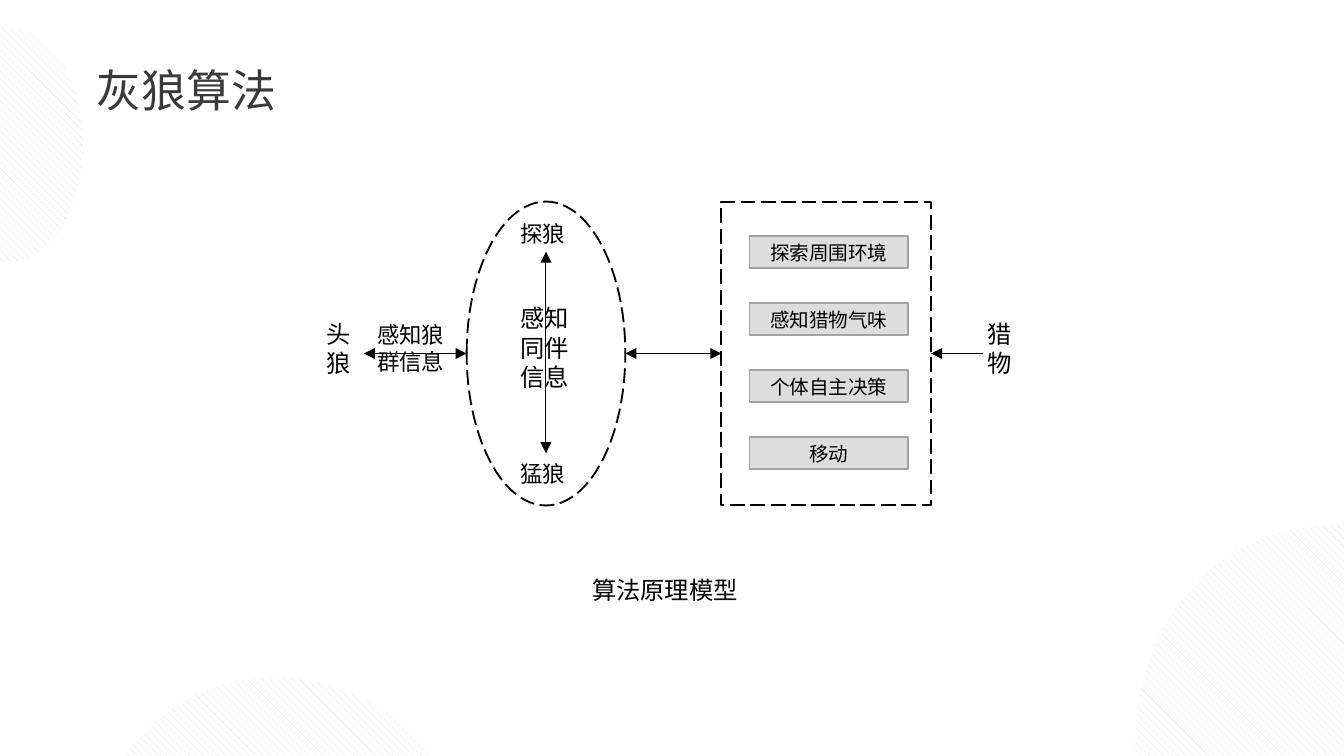
from dataclasses import dataclass

from lxml.etree import SubElement
from pptx import Presentation
from pptx.dml.color import RGBColor as RGB
from pptx.enum.dml import MSO_LINE as Dash, MSO_PATTERN as Pat
from pptx.enum.shapes import MSO_CONNECTOR as Link, MSO_SHAPE as Form
from pptx.enum.text import MSO_ANCHOR as Anchor, MSO_AUTO_SIZE as Fit, PP_ALIGN as Align
from pptx.oxml.ns import qn
from pptx.util import Pt


@dataclass(frozen=True)
class Theme:
    ink: RGB = RGB(0, 0, 0)
    head: RGB = RGB(0x3A, 0x3A, 0x3A)
    gray: RGB = RGB(0xDD, 0xDD, 0xDD)
    edge: RGB = RGB(0xA3, 0xA3, 0xA3)
    white: RGB = RGB(255, 255, 255)
    face: str = "Arial"
    title: str = "Noto Sans CJK SC"
    big: float = 24
    mid: float = 13
    note: float = 12
    small: float = 10.5


def put(item, vals):
    for name, val in vals.items():
        setattr(item, name, val)


class Board:
    def __init__(self, slide, theme):
        self.slide, self.theme = slide, theme
        self.shapes = slide.shapes

    def type_in(self, frame, lines, size, align=Align.LEFT, face=None, color=None):
        """Fill a text frame with one paragraph per line."""
        frame.text = "\n".join(lines)
        for para in frame.paragraphs:
            para.alignment = align
            put(para.font, {"name": face or self.theme.face, "size": Pt(size), "bold": False})
            para.font.color.rgb = color or self.theme.ink

    def title(self, text, *area):
        item = self.shapes.title
        put(item, dict(zip(("left", "top", "width", "height"), map(Pt, area))))
        put(item.text_frame, {"word_wrap": True, "auto_size": Fit.NONE,
                              "vertical_anchor": Anchor.TOP})
        self.type_in(item.text_frame, [text], self.theme.big,
                     face=self.theme.title, color=self.theme.head)

    def shape(self, form, *area):
        item = self.shapes.add_shape(form, *map(Pt, area))
        item.shadow.inherit = False
        return item

    def hatch(self, *area, turn=0):
        item = self.shape(Form.OVAL, *area)
        item.fill.patterned()
        item.fill.pattern = Pat.WIDE_DOWNWARD_DIAGONAL
        item.fill.fore_color.rgb = self.theme.gray
        item.fill.back_color.rgb = self.theme.white
        item.line.fill.background()
        item.rotation = turn

    def frame(self, form, *area):
        """Draw an unfilled shape with a dashed outline."""
        item = self.shape(form, *area)
        item.fill.background()
        put(item.line, {"width": Pt(1), "dash_style": Dash.LONG_DASH})
        item.line.color.rgb = self.theme.ink
        return item

    def step(self, text, *area):
        item = self.shape(Form.RECTANGLE, *area)
        item.fill.solid()
        item.fill.fore_color.rgb = self.theme.gray
        item.line.color.rgb = self.theme.edge
        item.line.width = Pt(1)
        put(item.text_frame, {"word_wrap": True, "vertical_anchor": Anchor.MIDDLE,
                              "margin_top": 0, "margin_bottom": 0})
        self.type_in(item.text_frame, [text], self.theme.small, Align.CENTER)

    def label(self, lines, size, *area):
        frame = self.shapes.add_textbox(*map(Pt, area)).text_frame
        put(frame, {"word_wrap": False, "auto_size": Fit.SHAPE_TO_FIT_TEXT})
        self.type_in(frame, lines, size)

    def arrow(self, *ends, tips=("headEnd", "tailEnd")):
        item = self.shapes.add_connector(Link.STRAIGHT, *map(Pt, ends))
        item.line.width = Pt(0.5)
        item.line.color.rgb = self.theme.ink
        props = item._element.spPr
        for tip in tips:
            SubElement(props.find(qn("a:ln")), qn("a:" + tip), type="triangle")
        SubElement(props, qn("a:effectLst"))
        return item


def main():
    deck = Presentation()
    put(deck, {"slide_width": Pt(720), "slide_height": Pt(405)})
    theme = Theme()
    board = Board(deck.slides.add_slide(deck.slide_layouts[5]), theme)

    board.hatch(26.6, 379.4, 257, 221.8, turn=75)
    board.hatch(591.8, 298, 257, 221.8, turn=75)
    board.hatch(-34, 15, 78.5, 125.3)
    board.title("灰狼算法", 44.6, 30.2, 168, 36)

    top, high = 108, 162.8
    mid = top + high / 2
    pack, wide = 250, 85
    axis = pack + wide / 2
    board.frame(Form.OVAL, pack, top, wide, high)
    box = board.frame(Form.RECTANGLE, 386.5, top, 112.3, high)
    steps = ["探索周围环境", "感知猎物气味", "个体自主决策", "移动"]
    for row, text in enumerate(steps):
        board.step(text, 401.5, 126.5 + 35.9 * row, 85, 17.2)

    board.arrow(pack, mid, 195, mid)
    board.arrow(pack + wide, mid, 386.5, mid).end_connect(box, 1)
    board.arrow(axis, 134.8, axis, 242.8)
    board.arrow(526.8, mid, 498.8, mid, tips=["tailEnd"]).end_connect(box, 3)

    board.label(["感知狼", "群信息"], theme.note, 195, 168.5, 54.7, 40.3)
    for text, y in (("探狼", 114.5), ("猛狼", 242.8)):
        board.label([text], theme.note, 271.5, y, 41.8, 24.5)
    board.label(["感知", "同伴", "信息"], theme.mid, 271.5, 159.2, 43.9, 60.5)
    for text, x in (("头狼", 168), ("猎物", 522)):
        board.label(list(text), theme.mid, x, 167.5, 30.2, 43.2)
    board.label(["算法原理模型"], theme.mid, 310.3, 304.5, 100.8, 26)
    deck.save("out.pptx")


if __name__ == "__main__":
    main()
